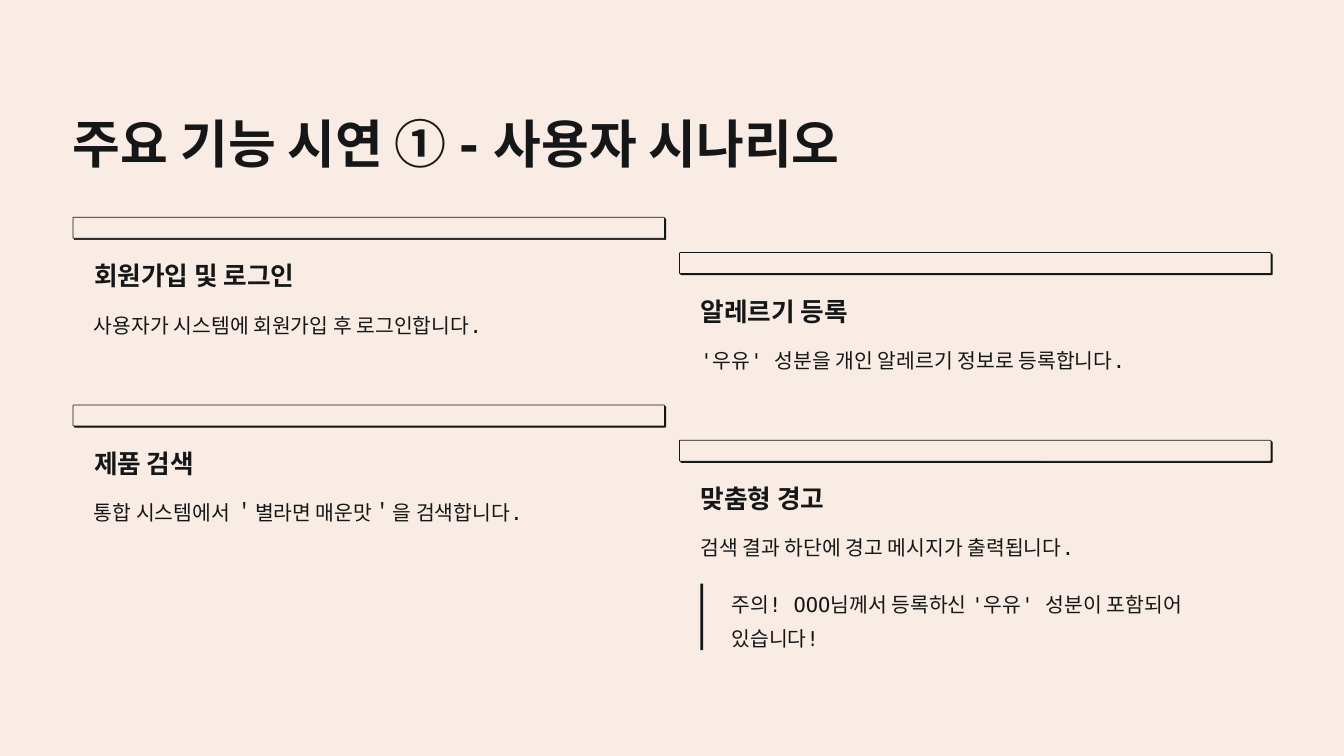
from lxml.etree import SubElement
from pptx import Presentation
from pptx.dml.color import RGBColor
from pptx.enum.shapes import MSO_SHAPE as Shape
from pptx.oxml.ns import qn
from pptx.util import Pt

CREAM = RGBColor(0xF8, 0xEC, 0xE4)
INK = RGBColor(0x15, 0x16, 0x17)
HEADING_FONT = "Montserrat"
BODY_FONT = "DejaVu Sans Mono"

TITLE = "주요 기능 시연 ① - 사용자 시나리오"
STEPS = [
    ("회원가입 및 로그인", "사용자가 시스템에 회원가입 후 로그인합니다.", None),
    ("알레르기 등록", "'우유' 성분을 개인 알레르기 정보로 등록합니다.", None),
    ("제품 검색", "통합 시스템에서 ＇별라면 매운맛＇을 검색합니다.", None),
    ("맞춤형 경고", "검색 결과 하단에 경고 메시지가 출력됩니다.",
     "주의! OOO님께서 등록하신 '우유' 성분이 포함되어 있습니다!"),
]

MARGIN, TITLE_TOP, STEPS_TOP = 62.6, 93.6, 186.3
CARD_WIDTH, COLUMN_STEP, ROW_STEP, STAGGER = 507, 519.8, 160.8, 30.2
BAR_HEIGHT, PADDING = 18, 18


def add_text(slide, words, left, top, width, height, font, size, leading,
             bold=False):
    frame = slide.shapes.add_textbox(
        Pt(left), Pt(top), Pt(width), Pt(height)).text_frame
    frame.margin_left = frame.margin_top = 0
    frame.margin_right = frame.margin_bottom = 0
    frame.word_wrap = True
    paragraph = frame.paragraphs[0]
    paragraph.text = words
    paragraph.line_spacing = Pt(leading)
    paragraph.font.name = font
    paragraph.font.size = Pt(size)
    paragraph.font.bold = bold
    paragraph.font.color.rgb = INK


def add_hard_shadow(shape):
    shape.shadow.inherit = False
    effects = shape._element.spPr.find(qn("a:effectLst"))
    shadow = SubElement(effects, qn("a:outerShdw"), blurRad="0",
                        dist=str(Pt(1.6)), dir="2700000", algn="tl",
                        rotWithShape="0")
    SubElement(shadow, qn("a:srgbClr"), val=str(INK))


def add_bar(slide, left, top, width):
    bar = slide.shapes.add_shape(Shape.ROUNDED_RECTANGLE, Pt(left), Pt(top),
                                 Pt(width), Pt(BAR_HEIGHT))
    bar.adjustments[0] = 0.04
    bar.fill.solid()
    bar.fill.fore_color.rgb = CREAM
    bar.line.color.rgb = INK
    bar.line.width = Pt(0.6)
    add_hard_shadow(bar)


def add_quote(slide, words, left, top, width, height):
    indent = 26.6
    add_text(slide, words, left + indent, top, width - indent, height,
             BODY_FONT, 17.5, 28.5)
    rule = slide.shapes.add_shape(Shape.RECTANGLE, Pt(left), Pt(top),
                                  Pt(2.3), Pt(height))
    rule.shadow.inherit = False
    rule.fill.solid()
    rule.fill.fore_color.rgb = INK
    rule.line.fill.background()


def add_step(slide, step, left, top, width):
    heading, description, quote = step
    inner_left, inner_width = left + PADDING, width - 2 * PADDING
    add_bar(slide, left, top, width)
    add_text(slide, heading, inner_left, top + 35.6, 223, 28,
             HEADING_FONT, 22, 27.5, bold=True)
    add_text(slide, description, inner_left, top + 74.2, inner_width, 28.5,
             BODY_FONT, 17.5, 28.5)
    if quote:
        add_quote(slide, quote, inner_left, top + 123, inner_width, 57)


def add_scenario_slide(deck):
    slide = deck.slides.add_slide(deck.slide_layouts[6])
    slide.background.fill.solid()
    slide.background.fill.fore_color.rgb = CREAM
    add_text(slide, TITLE, MARGIN, TITLE_TOP, 700, 56,
             HEADING_FONT, 44.5, 55.5, bold=True)
    for index, step in enumerate(STEPS):
        row, column = divmod(index, 2)
        add_step(slide, step, MARGIN + column * COLUMN_STEP,
                 STEPS_TOP + row * ROW_STEP + column * STAGGER, CARD_WIDTH)


def main():
    deck = Presentation()
    deck.slide_width, deck.slide_height = Pt(1152), Pt(648)
    add_scenario_slide(deck)
    deck.save("out.pptx")


if __name__ == "__main__":
    main()
